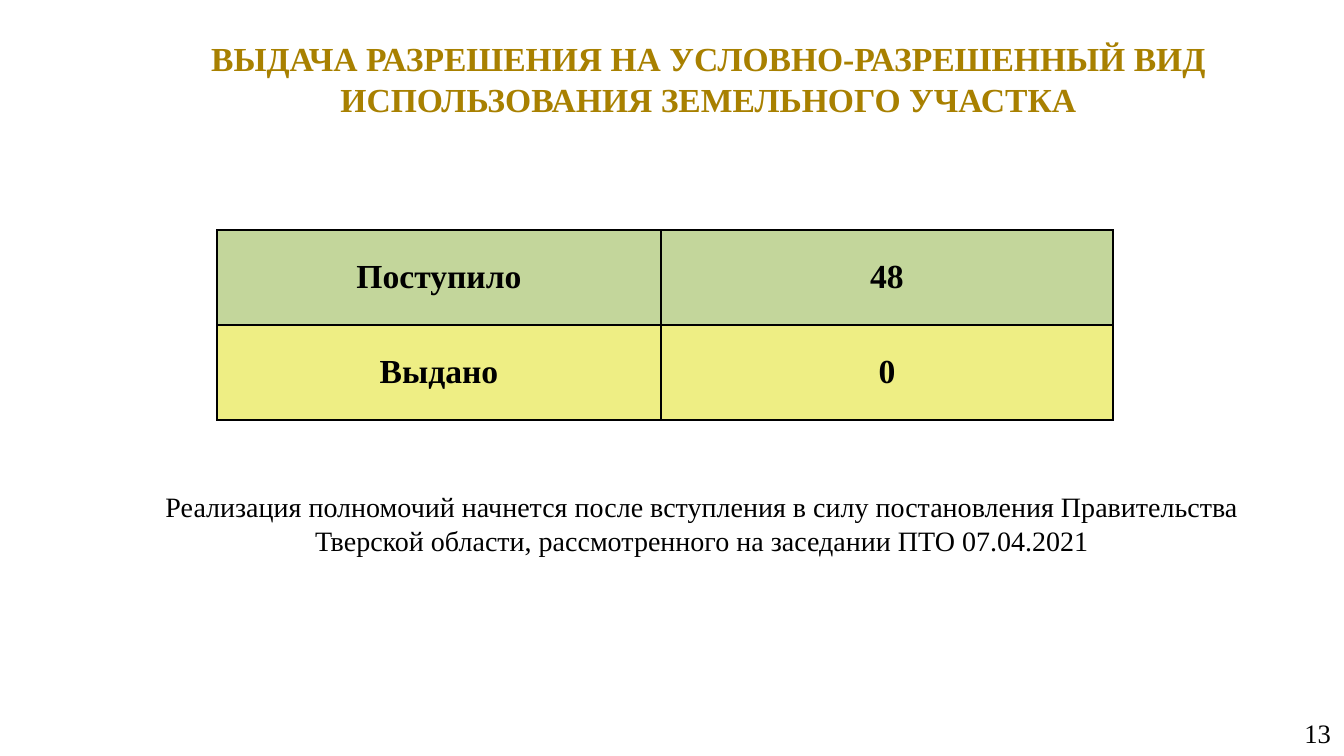
from dataclasses import dataclass

from lxml import etree
from pptx import Presentation
from pptx.dml.color import RGBColor
from pptx.enum.text import MSO_ANCHOR, MSO_AUTO_SIZE, PP_ALIGN
from pptx.oxml.ns import qn
from pptx.util import Emu, Pt

CENTER, RIGHT = PP_ALIGN.CENTER, PP_ALIGN.RIGHT
MIDDLE = MSO_ANCHOR.MIDDLE
NO_AUTOFIT = MSO_AUTO_SIZE.NONE
TITLE_ONLY = 5
INSET_X, INSET_Y = 13, 7


@dataclass(frozen=True)
class Theme:
    font: str = "Times New Roman"
    gold: str = "A88000"
    black: str = "000000"
    green: str = "C3D69B"
    yellow: str = "EEEE84"
    heading: int = 24
    body: int = 20
    number: int = 19


def px(n):
    return Emu(round(n * 914400 / 100.8))


class Deck:
    def __init__(self, theme, width, height):
        self.theme = theme
        self.prs = Presentation()
        self.prs.slide_width, self.prs.slide_height = px(width), px(height)
        self.s = self.prs.slides.add_slide(self.prs.slide_layouts[TITLE_ONLY])

    def set_insets(self, target):
        target.margin_left = target.margin_right = px(INSET_X)
        target.margin_top = target.margin_bottom = px(INSET_Y)
        target.vertical_anchor = MIDDLE

    def set_text(self, tf, text, size, color, bold=False, align=CENTER):
        p = tf.paragraphs[0]
        p.text = text
        p.alignment = align
        p.font.name = self.theme.font
        p.font.size = Pt(size)
        p.font.bold = bold
        p.font.color.rgb = RGBColor.from_string(color)

    def fill_frame(self, tf, text, size, color, **style):
        tf.word_wrap = True
        tf.auto_size = NO_AUTOFIT
        self.set_insets(tf)
        self.set_text(tf, text, size, color, **style)

    def title(self, text, x, y, w, h):
        sp = self.s.shapes.title
        sp.left, sp.top, sp.width, sp.height = map(px, (x, y, w, h))
        self.fill_frame(sp.text_frame, text, self.theme.heading,
                        self.theme.gold, bold=True)

    def text(self, text, x, y, w, h, size, align=CENTER):
        sp = self.s.shapes.add_textbox(*map(px, (x, y, w, h)))
        self.fill_frame(sp.text_frame, text, size, self.theme.black, align=align)

    def border(self, cell):
        """Draw a 1 pt line on all four sides; call before filling the cell."""
        tc_pr = cell._tc.get_or_add_tcPr()
        for side in ("a:lnL", "a:lnR", "a:lnT", "a:lnB"):
            ln = etree.SubElement(tc_pr, qn(side), w=str(Pt(1)))
            fill = etree.SubElement(ln, qn("a:solidFill"))
            etree.SubElement(fill, qn("a:srgbClr"), val=self.theme.black)

    def table(self, rows, fills, x, y, col_widths, row_height):
        frame = self.s.shapes.add_table(
            len(rows), len(col_widths), px(x), px(y),
            px(sum(col_widths)), px(row_height * len(rows)))
        table = frame.table
        for column, width in zip(table.columns, col_widths):
            column.width = px(width)
        for row, values, color in zip(table.rows, rows, fills):
            row.height = px(row_height)
            for cell, value in zip(row.cells, values):
                self.set_insets(cell)
                self.border(cell)
                cell.fill.solid()
                cell.fill.fore_color.rgb = RGBColor.from_string(color)
                self.set_text(cell.text_frame, value, self.theme.heading,
                              self.theme.black, bold=True)


def main():
    theme = Theme()
    deck = Deck(theme, 1344, 756)
    deck.title("ВЫДАЧА РАЗРЕШЕНИЯ НА УСЛОВНО-РАЗРЕШЕННЫЙ ВИД "
               "ИСПОЛЬЗОВАНИЯ ЗЕМЕЛЬНОГО УЧАСТКА", 132, 28, 1153, 101)
    deck.text("13", 1030, 713, 314, 40, theme.number, RIGHT)
    deck.table([("Поступило", "48"), ("Выдано", "0")],
               (theme.green, theme.yellow), 217, 230, (444, 452), 95)
    deck.text("Реализация полномочий начнется после вступления в силу "
              "постановления Правительства Тверской области, рассмотренного "
              "на заседании ПТО 07.04.2021", 102, 485, 1200, 77, theme.body)
    deck.prs.save("out.pptx")


if __name__ == "__main__":
    main()
